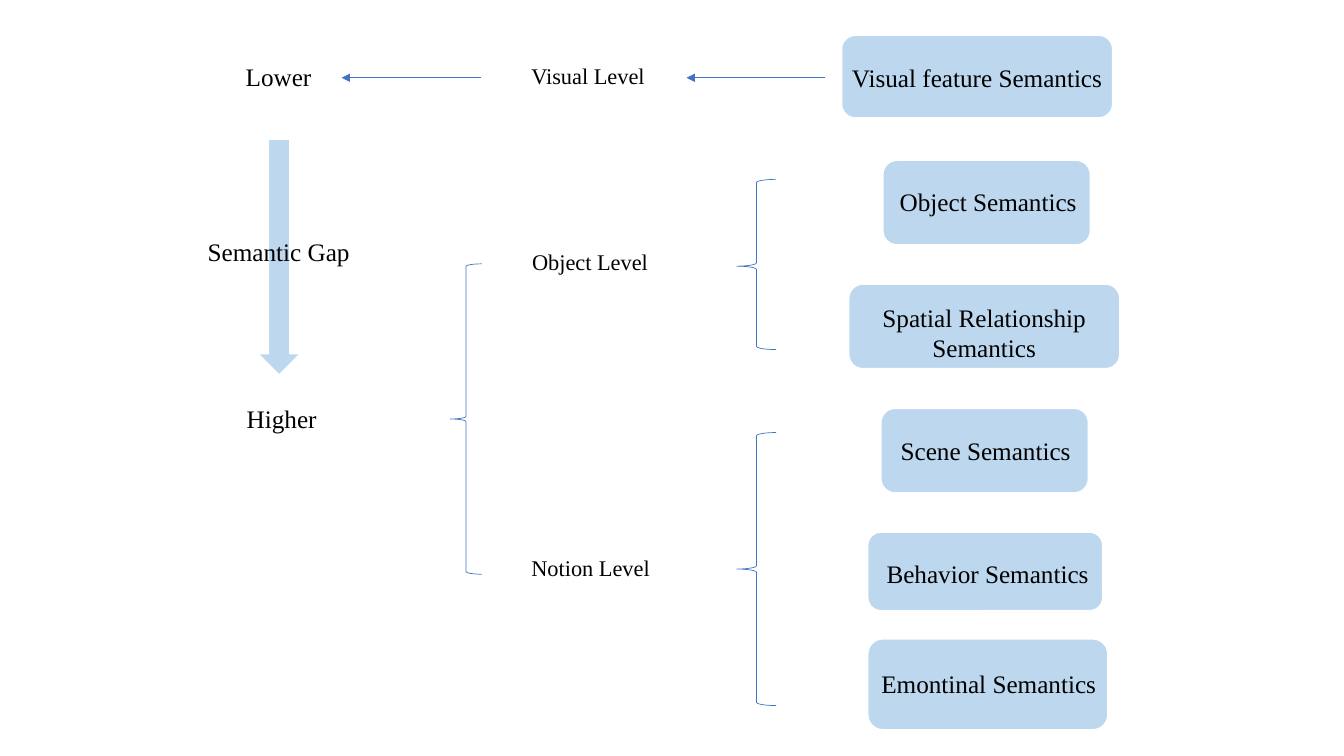
"""Build a slide that maps image semantics to levels across the semantic gap."""
from lxml.etree import SubElement
from pptx import Presentation
from pptx.dml.color import RGBColor
from pptx.enum.shapes import MSO_CONNECTOR, MSO_SHAPE
from pptx.enum.text import MSO_AUTO_SIZE, PP_ALIGN
from pptx.oxml.ns import qn
from pptx.util import Cm, Pt

PALE_BLUE = RGBColor(0xBD, 0xD7, 0xEE)
LINE_BLUE = RGBColor(0x44, 0x72, 0xC4)
WHITE = RGBColor(0xFF, 0xFF, 0xFF)
BLACK = RGBColor(0x00, 0x00, 0x00)


def add_figure(kind, left, top, width, height, filled=True):
    figure = slide.shapes.add_shape(kind, Cm(left), Cm(top), Cm(width), Cm(height))
    figure.shadow.inherit = False
    if filled:
        figure.fill.solid()
        figure.fill.fore_color.rgb = PALE_BLUE
    else:
        figure.fill.background()
    figure.line.color.rgb = WHITE if filled else LINE_BLUE
    figure.line.width = Pt(1 if filled else 0.5)
    return figure


def add_label(text, left, top, width, height=1.03, size=18):
    box = slide.shapes.add_textbox(Cm(left), Cm(top), Cm(width), Cm(height))
    frame = box.text_frame
    frame.word_wrap = True
    frame.auto_size = MSO_AUTO_SIZE.SHAPE_TO_FIT_TEXT
    para = frame.paragraphs[0]
    para.text = text
    para.alignment = PP_ALIGN.CENTER
    para.font.name = "Times New Roman"
    para.font.size = Pt(size)
    para.font.color.rgb = BLACK


deck = Presentation()
deck.slide_width, deck.slide_height = Cm(33.87), Cm(19.05)
slide = deck.slides.add_slide(deck.slide_layouts[6])

semantics = [
    ("Visual feature Semantics", (21.21, 0.89, 6.83, 2.08), (21.21, 1.45, 6.83)),
    ("Object Semantics", (22.25, 4.04, 5.23, 2.13), (21.49, 4.57, 6.83)),
    ("Spatial Relationship Semantics", (21.39, 7.16, 6.83, 2.13), (21.39, 7.49, 6.83, 1.8)),
    ("Scene Semantics", (22.2, 10.29, 5.23, 2.13), (21.79, 10.85, 6.1)),
    ("Behavior Semantics", (21.87, 13.41, 5.92, 1.98), (21.84, 13.94, 6.1)),
    ("Emontinal Semantics", (21.87, 16.1, 6.05, 2.29), (21.87, 16.71, 6.1)),
]
for text, card_place, label_place in semantics:
    add_figure(MSO_SHAPE.ROUNDED_RECTANGLE, *card_place)
    add_label(text, *label_place)

levels = [
    ("Visual Level", 12.98, 1.45, 3.68),
    ("Object Level", 13.03, 6.12, 3.68),
    ("Notion Level", 12.32, 13.84, 5.13),
]
for text, left, top, width in levels:
    add_label(text, left, top, width, height=0.94, size=16)

for start, end in [(20.8, 17.3), (12.12, 8.61)]:
    arrow = slide.shapes.add_connector(
        MSO_CONNECTOR.STRAIGHT, Cm(start), Cm(1.96), Cm(end), Cm(1.96))
    arrow.line.color.rgb = LINE_BLUE
    arrow.line.width = Pt(0.5)
    SubElement(arrow.line._get_or_add_ln(), qn("a:tailEnd"), type="triangle")
    SubElement(arrow._element.spPr, qn("a:effectLst"))

braces = [
    (18.57, 4.52, 0.99, 4.29, 0.51),
    (18.57, 10.9, 0.99, 6.88, 0.5),
    (11.35, 6.65, 0.79, 7.82, 0.5),
]
for *place, tip in braces:
    brace = add_figure(MSO_SHAPE.LEFT_BRACE, *place, filled=False)
    brace.adjustments[1] = tip

add_figure(MSO_SHAPE.DOWN_ARROW, 6.5, 3.51, 1.07, 5.94)
add_label("Lower", 5.18, 1.42, 3.68)
add_label("Semantic Gap", 4.6, 5.82, 4.85)
add_label("Higher", 5.26, 10.03, 3.68)

deck.save("out.pptx")
